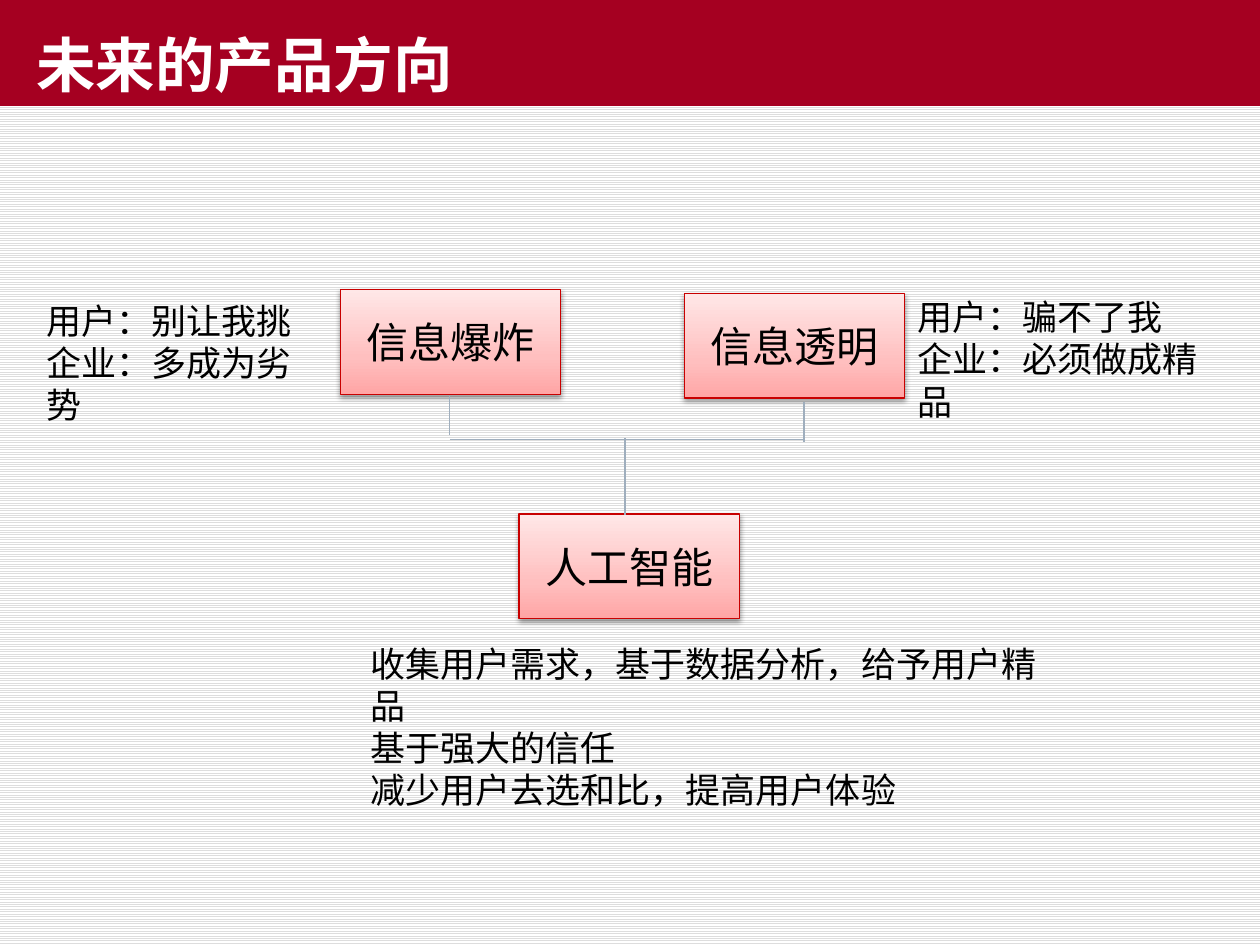
import copy

import pptx
import pptx.util
from lxml import etree
from pptx.dml.color import RGBColor
from pptx.enum.dml import MSO_PATTERN
from pptx.enum.shapes import MSO_CONNECTOR, MSO_SHAPE
from pptx.enum.text import MSO_ANCHOR, MSO_AUTO_SIZE, PP_ALIGN
from pptx.oxml.ns import qn
from pptx.util import Inches

COLORS = {
    "banner": "A50021", "stripe": "DDDDDD", "paper": "FFFFFF",
    "title": "FFFFFF", "text": "000000", "border": "C80000",
    "link": "9FAEBD", "shadow": "000000",
}
CARD_STOPS = [(0, "FFA5A5"), (0.35, "FFBFBF"), (1, "FFE7E7")]
CARD_SIZE = (1.75, 0.83)

CARDS = [("信息爆炸", 2.7, 2.3), ("信息透明", 5.43, 2.33), ("人工智能", 4.12, 4.08)]
NOTES = [
    (["用户：别让我挑", "企业：多成为劣势"], (0.27, 2.33, 2.41, 0.77)),
    (["用户：骗不了我", "企业：必须做成精品"], (7.18, 2.3, 2.69, 0.77)),
    (["收集用户需求，基于数据分析，给予用户精品", "基于强大的信任",
      "减少用户去选和比，提高用户体验"], (2.84, 5.05, 5.75, 1.11)),
]
LINKS = [
    (3.57, 3.14, 3.57, 3.45),
    (6.38, 3.19, 6.38, 3.51),
    (4.96, 3.48, 4.96, 4.09),
    (3.57, 3.49, 6.39, 3.49),
]


def rgb(name):
    return RGBColor.from_string(COLORS[name])


def write(frame, lines, size, color="text", bold=False, align=PP_ALIGN.LEFT):
    """Fill a text frame with one formatted paragraph per line."""
    font_format = {"name": "Arial", "size": pptx.util.Pt(size), "bold": bold}
    frame.text = "\n".join(lines)
    for paragraph in frame.paragraphs:
        paragraph.alignment = align
        for run in paragraph.runs:
            for attribute, value in font_format.items():
                setattr(run.font, attribute, value)
            run.font.color.rgb = rgb(color)


def add_banner(slide, text, box):
    banner = slide.shapes.title
    banner.left, banner.top, banner.width, banner.height = map(Inches, box)
    banner.fill.solid()
    banner.fill.fore_color.rgb = rgb("banner")
    frame = banner.text_frame
    frame.auto_size = MSO_AUTO_SIZE.NONE
    frame.vertical_anchor = MSO_ANCHOR.BOTTOM
    write(frame, [text], 34, "title", bold=True)
    indent = frame.paragraphs[0]._p.get_or_add_pPr()
    indent.set("marL", "0")
    indent.set("indent", str(Inches(0.19)))


def fill_gradient(shape, stops):
    """Run the stops from the bottom edge to the top edge."""
    shape.fill.gradient()
    shape.fill.gradient_angle = 90
    stop_list = shape._element.spPr.find(".//" + qn("a:gsLst"))
    stop_list.append(copy.deepcopy(stop_list[0]))
    for stop, (position, color) in zip(shape.fill.gradient_stops, stops):
        stop.position = position
        stop.color.rgb = RGBColor.from_string(color)


def add_shadow(shape):
    shape.shadow.inherit = False
    effects = shape._element.spPr.find(qn("a:effectLst"))
    shadow = etree.SubElement(
        effects, qn("a:outerShdw"), blurRad=str(pptx.util.Pt(3.1)),
        dist=str(pptx.util.Pt(1.6)), dir="5400000", rotWithShape="0")
    color = etree.SubElement(shadow, qn("a:srgbClr"), val=COLORS["shadow"])
    etree.SubElement(color, qn("a:alpha"), val="38000")


def add_card(slide, text, left, top):
    card = slide.shapes.add_shape(
        MSO_SHAPE.RECTANGLE, *map(Inches, (left, top, *CARD_SIZE)))
    fill_gradient(card, CARD_STOPS)
    card.line.color.rgb = rgb("border")
    card.line.width = pptx.util.Pt(0.75)
    add_shadow(card)
    card.text_frame.vertical_anchor = MSO_ANCHOR.MIDDLE
    write(card.text_frame, [text], 24, align=PP_ALIGN.CENTER)


def add_note(slide, lines, box):
    frame = slide.shapes.add_textbox(*map(Inches, box)).text_frame
    frame.word_wrap = True
    frame.auto_size = MSO_AUTO_SIZE.SHAPE_TO_FIT_TEXT
    write(frame, lines, 20)


def add_link(slide, ends):
    link = slide.shapes.add_connector(MSO_CONNECTOR.STRAIGHT, *map(Inches, ends))
    link.line.color.rgb = rgb("link")
    link.line.width = pptx.util.Pt(0.75)
    etree.SubElement(link._element.spPr, qn("a:effectLst"))


def add_direction_slide(deck):
    slide = deck.slides.add_slide(deck.slide_layouts.get_by_name("Title Only"))
    background = slide.background.fill
    background.patterned()
    background.pattern = MSO_PATTERN.LIGHT_HORIZONTAL
    background.fore_color.rgb = rgb("stripe")
    background.back_color.rgb = rgb("paper")
    add_banner(slide, "未来的产品方向", (0, 0, 10, 0.84))
    for text, left, top in CARDS:
        add_card(slide, text, left, top)
    for lines, box in NOTES:
        add_note(slide, lines, box)
    for ends in LINKS:
        add_link(slide, ends)


def main():
    deck = pptx.Presentation()
    deck.slide_width, deck.slide_height = Inches(10), Inches(7.5)
    add_direction_slide(deck)
    deck.save("out.pptx")


if __name__ == "__main__":
    main()
